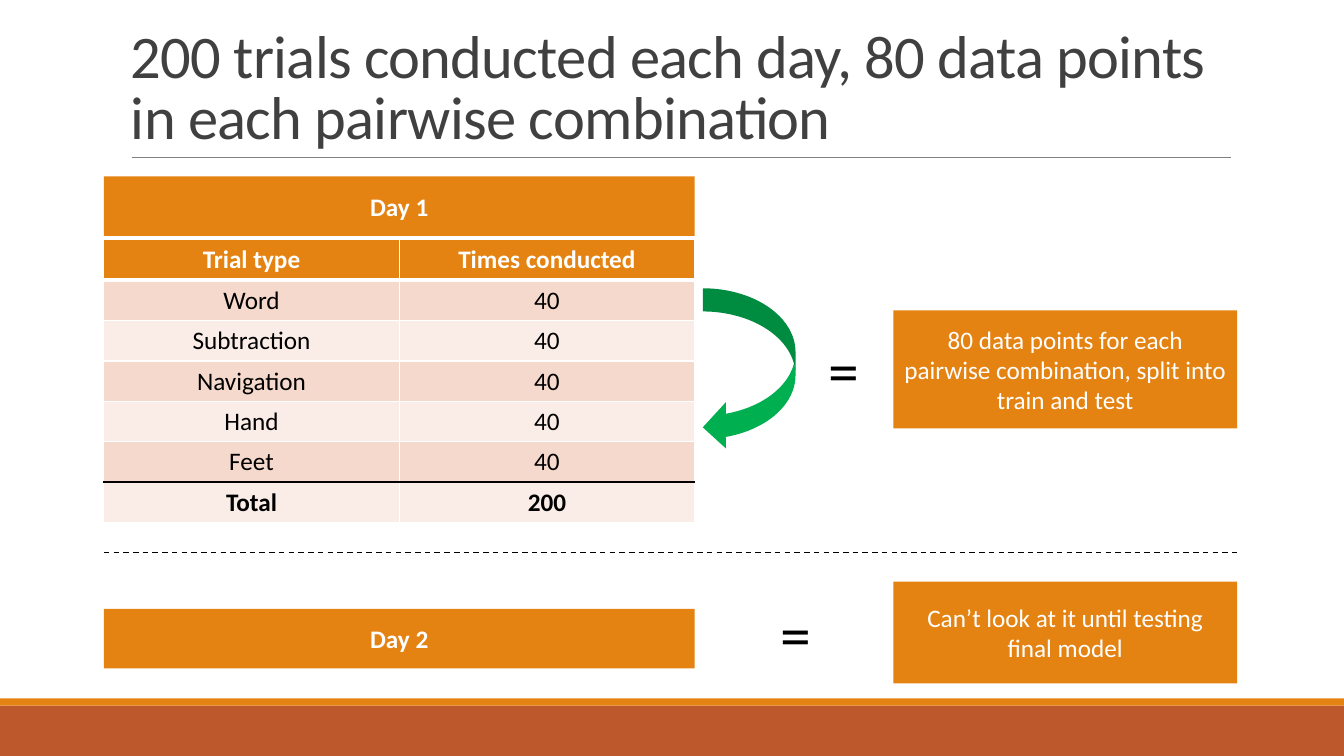
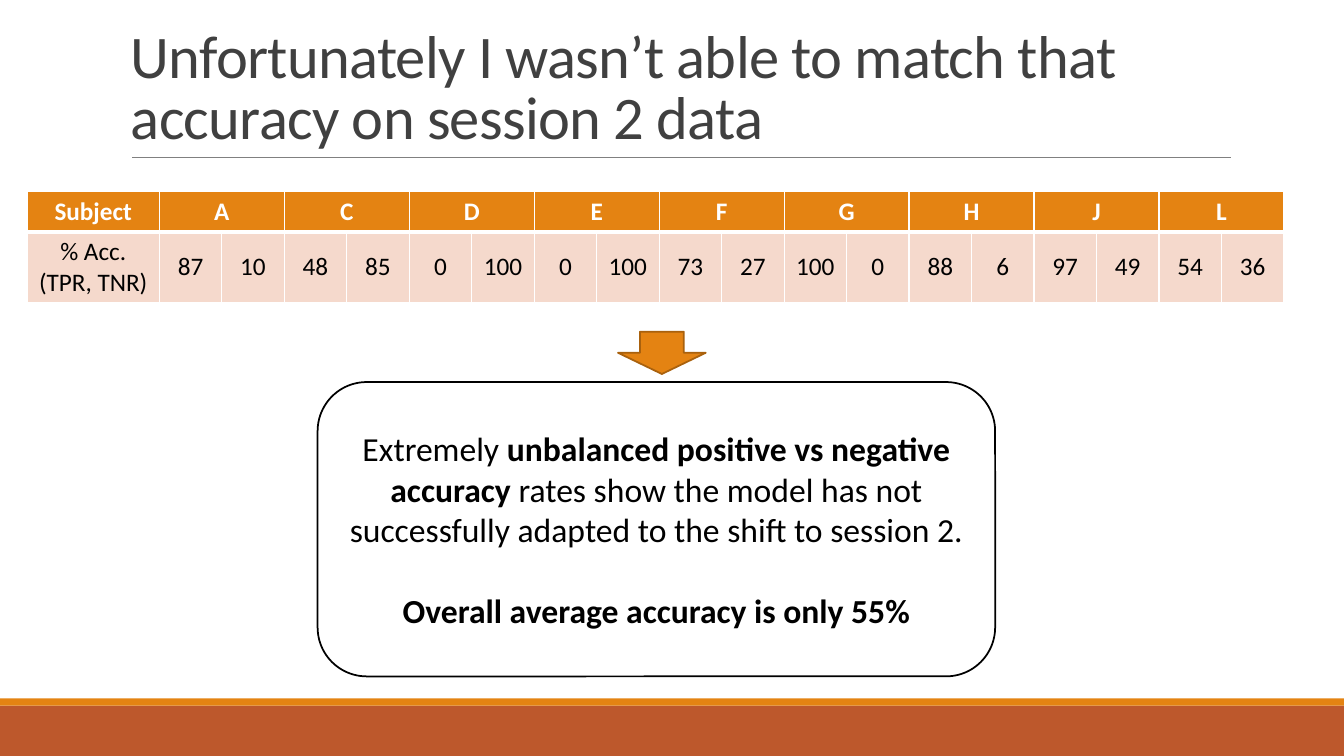
from dataclasses import dataclass
from lxml import etree
from pptx import Presentation
from pptx import util as u
from pptx.dml import color
from pptx.enum import dml, shapes, text
from pptx.oxml import ns


@dataclass(frozen=True)
class Theme:
    font: str = "Calibri"
    main: str = "E48312"
    base: str = "BD582C"
    edge: str = "A9610D"
    green: str = "00B050"
    title: str = "404040"
    rule: str = "808080"
    black: str = "000000"
    white: str = "FFFFFF"
    bands: tuple = ("F5D9CC", "FAEDE7")
    head: float = 43.2
    sign: int = 44
    large: int = 24
    body: int = 18


SCALE = 9144
WIDE, HIGH = 1333, 750
KIND = shapes.MSO_SHAPE
MID = text.MSO_ANCHOR.MIDDLE
CENTER = text.PP_ALIGN.CENTER
LEFT = text.PP_ALIGN.LEFT


def px(*sizes):
    return [u.Emu(size * SCALE) for size in sizes]


def rgb(ink):
    return color.RGBColor.from_string(ink)


class Deck:
    def __init__(self, theme):
        self.theme = theme
        self.file = Presentation()
        self.file.slide_width, self.file.slide_height = px(WIDE, HIGH)
        self.slide = None

    def page(self, title):
        t = self.theme
        self.slide = self.file.slides.add_slide(self.file.slide_layouts[6])
        self.shape(KIND.RECTANGLE, (0, 700, WIDE, 50), t.base)
        self.shape(KIND.RECTANGLE, (0, 693, WIDE, 7), t.main)
        self.line(131, 1221, 156, t.rule, 0.5)
        frame = self.label((120, 20, 1100, 136), title, t.head, t.title)
        frame.vertical_anchor = text.MSO_ANCHOR.BOTTOM
        para = frame.paragraphs[0]
        para.line_spacing = 0.85
        for run in para.runs:
            run.font._element.set("spc", "-50")

    def prose(self, frame, words, size, ink, align=CENTER, gap=0):
        frame.text = words.replace("*", "")
        for row, (para, line) in enumerate(zip(frame.paragraphs, words.split("\n"))):
            para.text = ""
            para.alignment = align
            if row and gap:
                para.space_before = u.Pt(gap)
            for turn, part in enumerate(line.split("*")):
                if not part:
                    continue
                run = para.add_run()
                run.text = part
                font = run.font
                font.name, font.size = self.theme.font, u.Pt(size)
                font.bold = turn % 2 == 1
                font.color.rgb = rgb(ink)

    def label(self, box, words, size, ink, wrap=True):
        frame = self.slide.shapes.add_textbox(*px(*box)).text_frame
        frame.word_wrap = wrap
        self.prose(frame, words, size, ink, LEFT)
        return frame

    def shape(self, kind, box, fill=None, edge=None):
        item = self.slide.shapes.add_shape(kind, *px(*box))
        item.shadow.inherit = False
        if fill:
            item.fill.solid()
            item.fill.fore_color.rgb = rgb(fill)
        else:
            item.fill.background()
        if edge:
            item.line.color.rgb = rgb(edge)
            item.line.width = u.Pt(1.25)
        else:
            item.line.fill.background()
        return item

    def panel(self, box, words):
        frame = self.shape(KIND.RECTANGLE, box, self.theme.main).text_frame
        frame.word_wrap = True
        frame.vertical_anchor = MID
        self.prose(frame, words, self.theme.body, self.theme.white)

    def callout(self, box, words, gap):
        frame = self.shape(KIND.ROUNDED_RECTANGLE, box, edge=self.theme.black).text_frame
        frame.word_wrap = True
        frame.vertical_anchor = MID
        self.prose(frame, words, self.theme.large, self.theme.black, gap=gap)

    def equals(self, left, top):
        self.label((left, top, 51, 84), "=", self.theme.sign, self.theme.black, False)

    def line(self, left, right, y, ink, width, dash=None):
        item = self.slide.shapes.add_connector(
            shapes.MSO_CONNECTOR.STRAIGHT, *px(left, y, right, y))
        item.line.color.rgb = rgb(ink)
        item.line.width = u.Pt(width)
        if dash:
            item.line.dash_style = dash
        etree.SubElement(item._element.spPr, ns.qn("a:effectLst"))

    def border(self, cell, **sides):
        props = cell._tc.get_or_add_tcPr()
        for side in "LRTB":
            ink, width = sides.get(side, (self.theme.white, 1))
            edge = etree.SubElement(props, ns.qn("a:ln" + side), w=str(u.Pt(width)))
            fill = etree.SubElement(edge, ns.qn("a:solidFill"))
            etree.SubElement(fill, ns.qn("a:srgbClr"), val=ink)

    def table(self, left, top, cols, rows, cells, total=False, spans=()):
        t = self.theme
        grid = self.slide.shapes.add_table(
            len(rows), len(cols), *px(left, top, sum(cols), sum(rows))).table
        grid.first_row = grid.horz_banding = False
        for col, width in zip(grid.columns, px(*cols)):
            col.width = width
        for row, height in zip(grid.rows, px(*rows)):
            row.height = height
        last = len(rows) - 1
        for r, line in enumerate(cells):
            for c, words in enumerate(line):
                cell = grid.cell(r, c)
                sides = {}
                if r == 0:
                    sides["B"] = (t.white, 3)
                elif r == 1:
                    sides["T"] = (t.white, 3)
                if total and r == last - 1:
                    sides["B"] = (t.black, 1)
                elif total and r == last:
                    sides["T"] = (t.black, 1)
                self.border(cell, **sides)
                cell.fill.solid()
                cell.fill.fore_color.rgb = rgb(t.bands[(r - 1) % 2] if r else t.main)
                cell.vertical_anchor = MID
                bold = r == 0 or total and r == last
                if words:
                    self.prose(cell.text_frame, f"*{words}*" if bold else words,
                               t.body, t.black if r else t.white)
        for c in spans:
            grid.cell(0, c).merge(grid.cell(0, c + 1))


def trials(deck):
    t = deck.theme
    deck.page("200 trials conducted each day, 80 data points in each pairwise combination")
    left, width = 103, 586
    kinds = ("Word", "Subtraction", "Navigation", "Hand", "Feet")
    cells = [("Trial type", "Times conducted"),
             *((kind, "40") for kind in kinds), ("Total", "200")]
    deck.table(left, 238, [width // 2] * 2, [40] * len(cells), cells, total=True)
    for day, top in ((1, 175), (2, 604)):
        deck.panel((left, top, width, 59), f"*Day {day}*")
    deck.shape(KIND.CURVED_LEFT_ARROW, (697, 286, 92, 161), t.green)
    deck.equals(812, 324)
    deck.equals(764, 586)
    deck.panel((886, 308, 341, 117),
               "80 data points for each pairwise combination, split into train and test")
    deck.panel((886, 577, 341, 101), "Can’t look at it until testing final model")
    deck.line(left, 1227, 548, t.black, 1, dml.MSO_LINE.DASH)


def results(deck):
    t = deck.theme
    deck.page("Unfortunately I wasn’t able to match that accuracy on session 2 data")
    rates = {"A": (87, 10), "C": (48, 85), "D": (0, 100), "E": (0, 100), "F": (73, 27),
             "G": (100, 0), "H": (88, 6), "J": (97, 49), "L": (54, 36)}
    heads, scores = ["Subject"], ["% Acc.\n(TPR, TNR)"]
    for name, pair in rates.items():
        heads += [name, ""]
        scores += map(str, pair)
    count = len(heads)
    deck.table(27, 190, [131] + [62] * (count - 1), [40, 70], [heads, scores],
               spans=range(1, count, 2))
    deck.shape(KIND.DOWN_ARROW, (613, 329, 87, 42), t.main, t.edge)
    deck.callout((315, 379, 672, 292),
                 "Extremely *unbalanced positive vs negative accuracy* rates show the model "
                 "has not successfully adapted to the shift to session 2.\n"
                 "*Overall average accuracy is only 55%*", 29)


def main():
    deck = Deck(Theme())
    trials(deck)
    results(deck)
    deck.file.save("out.pptx")


if __name__ == "__main__":
    main()
